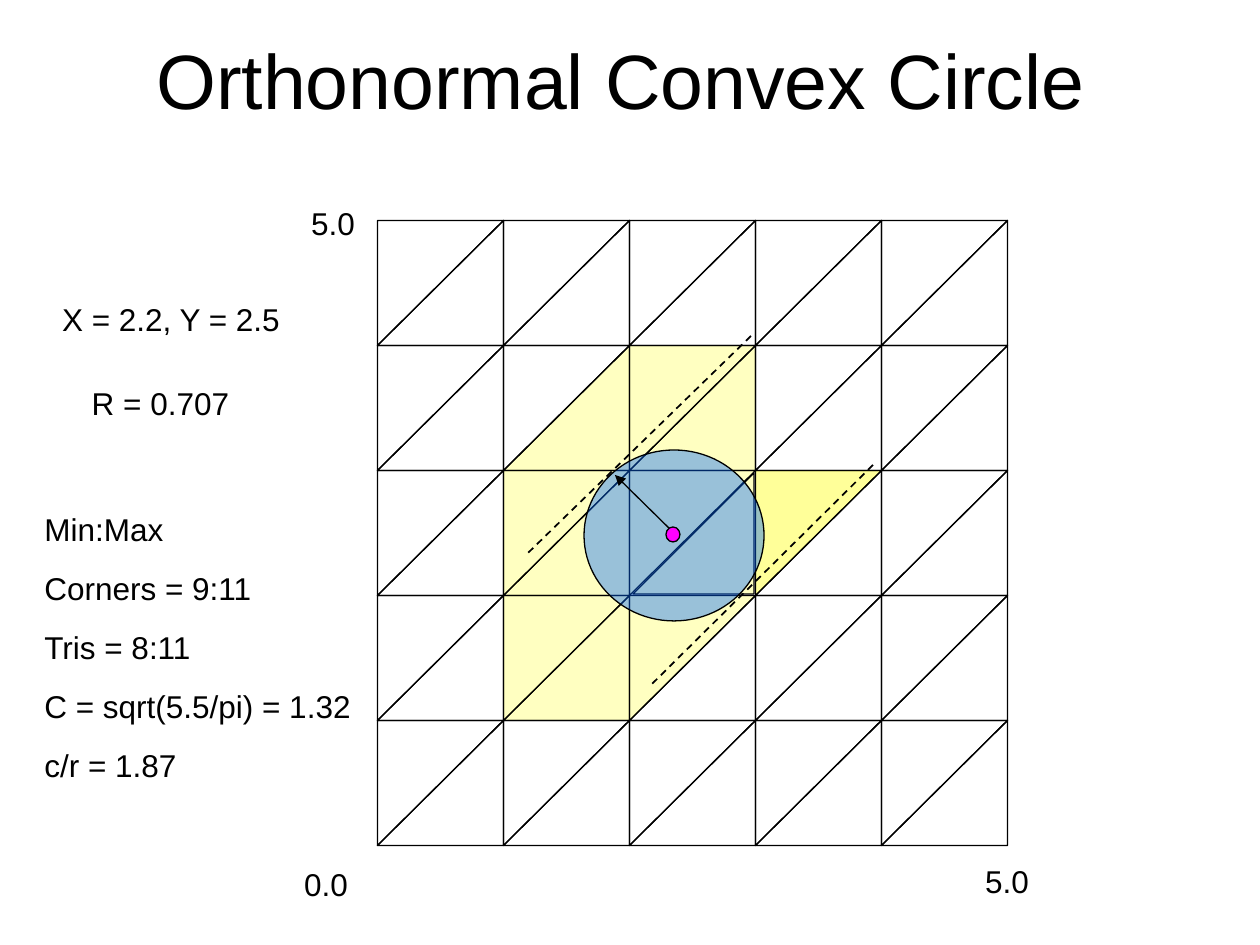
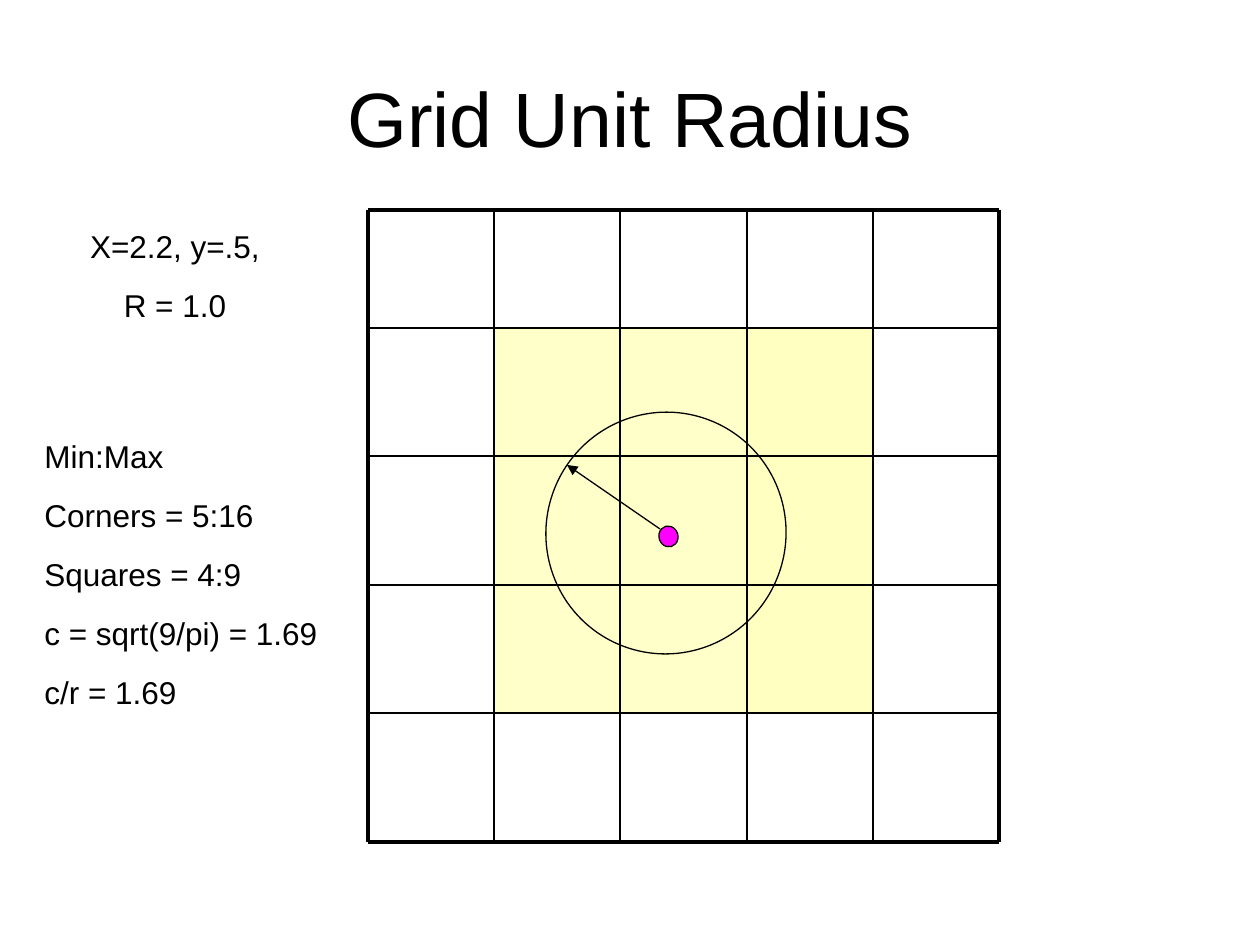
import itertools

import lxml.etree
import pptx
import pptx.dml.color
import pptx.enum.dml
import pptx.enum.shapes
import pptx.enum.text
import pptx.oxml.ns
import pptx.util

EMU_PER_PX = 914400 / 126
SLIDE_SIZE = (1260, 945)

BLACK = pptx.dml.color.RGBColor(0x00, 0x00, 0x00)
PALE_YELLOW = pptx.dml.color.RGBColor(0xFF, 0xFF, 0x66)
YELLOW = pptx.dml.color.RGBColor(0xFF, 0xFF, 0x00)
BLUE = pptx.dml.color.RGBColor(0x00, 0x66, 0xFF)
MAGENTA = pptx.dml.color.RGBColor(0xFF, 0x00, 0xFF)

FONT = "Arial"
TITLE_SIZE = 44
BODY_SIZE = 18
PARAGRAPH_GAP = 12.1
THIN, MEDIUM, THICK = 0.75, 1, 2.25

MSO_SHAPE = pptx.enum.shapes.MSO_SHAPE
CENTER = pptx.enum.text.PP_ALIGN.CENTER
LEFT = pptx.enum.text.PP_ALIGN.LEFT

# Triangle mesh: each cell holds an upper-left and a lower-right triangle.
MESH_LEFT, MESH_TOP = 378, 220
CELL_WIDTH, CELL_HEIGHT = 126, 125
CELLS = 5
UPPER, LOWER = 90, 270
CENTER_TRIANGLE = (2, 2, LOWER)
TOUCHED_TRIANGLES = {
    (1, 1, LOWER), (1, 2, UPPER), (1, 2, LOWER),
    (2, 1, UPPER), (2, 1, LOWER), (2, 2, UPPER),
    (3, 1, UPPER), (3, 1, LOWER), (3, 2, UPPER),
}
CORNER_TRIANGLE = (2, 3, UPPER)

# Square grid: the top row is a little lower than the others.
COLUMN_LINES = [368, 494, 620, 747, 873, 999]
ROW_LINES = [210, 328, 456, 585, 713, 842]


def px(length):
    return pptx.util.Emu(round(length * EMU_PER_PX))


def add_text(slide, box, lines, size=BODY_SIZE, align=CENTER, middle=False):
    shape = slide.shapes.add_textbox(*map(px, box))
    frame = shape.text_frame
    frame.word_wrap = True
    if middle:
        frame.vertical_anchor = pptx.enum.text.MSO_ANCHOR.MIDDLE
    for index, line in enumerate(lines):
        paragraph = frame.add_paragraph() if index else frame.paragraphs[0]
        paragraph.alignment = align
        if index:
            paragraph.space_before = pptx.util.Pt(PARAGRAPH_GAP)
        run = paragraph.add_run()
        run.text = line
        run.font.name = FONT
        run.font.size = pptx.util.Pt(size)
        run.font.color.rgb = BLACK


def add_title(slide, left, top, text):
    add_text(slide, (left, top, 1134, 158), [text], TITLE_SIZE, middle=True)


def add_shape(slide, kind, box, fill=None, opacity=100, outline=THIN, rotation=0):
    shape = slide.shapes.add_shape(kind, *map(px, box))
    shape.shadow.inherit = False
    shape.rotation = rotation
    if fill is None:
        shape.fill.background()
    else:
        shape.fill.solid()
        shape.fill.fore_color.rgb = fill
        if opacity < 100:
            color = shape.fill._xPr.find(".//" + pptx.oxml.ns.qn("a:srgbClr"))
            alpha = lxml.etree.SubElement(color, pptx.oxml.ns.qn("a:alpha"))
            alpha.set("val", str(opacity * 1000))
    if outline:
        shape.line.color.rgb = BLACK
        shape.line.width = pptx.util.Pt(outline)
    else:
        shape.line.fill.background()


def add_line(slide, start, end, width, dashed=False, arrow=False):
    connector = slide.shapes.add_connector(
        pptx.enum.shapes.MSO_CONNECTOR.STRAIGHT, *map(px, start + end))
    connector.line.color.rgb = BLACK
    connector.line.width = pptx.util.Pt(width)
    if dashed:
        connector.line.dash_style = pptx.enum.dml.MSO_LINE.DASH
    if arrow:
        line = connector.line._get_or_add_ln()
        tail = lxml.etree.SubElement(line, pptx.oxml.ns.qn("a:tailEnd"))
        tail.set("type", "triangle")
    lxml.etree.SubElement(
        connector._element.spPr, pptx.oxml.ns.qn("a:effectLst"))


def add_triangle_mesh(slide):
    # The triangle under the center is slightly smaller than its cell.
    add_shape(slide, MSO_SHAPE.RIGHT_TRIANGLE, (633, 473, 121, 121),
              PALE_YELLOW, 40, rotation=LOWER)
    for triangle in itertools.product(range(CELLS), range(CELLS), (LOWER, UPPER)):
        if triangle == CENTER_TRIANGLE:
            continue
        row, column, rotation = triangle
        fill = None
        if triangle in TOUCHED_TRIANGLES:
            fill = PALE_YELLOW
        elif triangle == CORNER_TRIANGLE:
            fill = YELLOW
        # A quarter turn swaps the sides, so the frame is as wide as a cell is high.
        box = (MESH_LEFT + column * CELL_WIDTH, MESH_TOP + row * CELL_HEIGHT,
               CELL_HEIGHT, CELL_WIDTH)
        add_shape(slide, MSO_SHAPE.RIGHT_TRIANGLE, box, fill, 40,
                  rotation=rotation)


def add_square_grid(slide):
    for row, column in itertools.product(range(1, 4), range(1, 4)):
        left, right = COLUMN_LINES[column:column + 2]
        top, bottom = ROW_LINES[row:row + 2]
        add_shape(slide, MSO_SHAPE.RECTANGLE,
                  (left, top, right - left, bottom - top),
                  PALE_YELLOW, 40 if column == 3 else 35, outline=None)
    left, right = COLUMN_LINES[0], COLUMN_LINES[-1]
    top, bottom = ROW_LINES[0], ROW_LINES[-1]
    for y in ROW_LINES:
        add_line(slide, (left, y), (right, y),
                 THICK if y in (top, bottom) else MEDIUM)
    for x in COLUMN_LINES:
        add_line(slide, (x, top), (x, bottom),
                 THICK if x in (left, right) else MEDIUM)


def add_radius_circle(slide, circle, radius, center, fill=None,
                      circle_turn=0, center_turn=0):
    """Draw a circle, its radius arrow and its center dot."""
    add_shape(slide, MSO_SHAPE.OVAL, circle, fill, 40, rotation=circle_turn)
    add_line(slide, *radius, THIN, arrow=True)
    add_shape(slide, MSO_SHAPE.OVAL, center, MAGENTA, rotation=center_turn)


def add_statistics(slide, top, lines):
    add_text(slide, (32, top, 335, 281), ["Min:Max"] + lines, align=LEFT)


def build_convex_circle(slide):
    add_title(slide, 54, 0, "Orthonormal Convex Circle")
    add_triangle_mesh(slide)
    for left, top, width, label in (
            (256, 859, 140, "0.0"),
            (263, 198, 140, "5.0"),
            (937, 856, 140, "5.0"),
            (42, 294, 258, "X = 2.2, Y = 2.5"),
            (53, 378, 215, "R = 0.707")):
        add_text(slide, (left, top, width, 50), [label])
    add_line(slide, (751, 336), (528, 553), MEDIUM, dashed=True)
    add_radius_circle(slide, (584, 450, 180, 171), ((674, 533), (615, 475)),
                      (666, 527, 14, 15), BLUE)
    add_line(slide, (873, 465), (652, 684), MEDIUM, dashed=True)
    add_statistics(slide, 504, ["Corners = 9:11", "Tris = 8:11",
                                "C = sqrt(5.5/pi) = 1.32", "c/r = 1.87"])


def build_unit_radius(slide):
    add_title(slide, 63, 38, "Grid Unit Radius")
    add_square_grid(slide)
    add_radius_circle(slide, (545, 413, 242, 240), ((660, 529), (567, 465)),
                      (659, 526, 19, 21), circle_turn=288.9, center_turn=344.3)
    add_text(slide, (73, 221, 204, 108), ["X=2.2, y=.5,", "R = 1.0"])
    add_statistics(slide, 431, ["Corners = 5:16", "Squares = 4:9",
                                "c = sqrt(9/pi) = 1.69", "c/r = 1.69"])


def main():
    presentation = pptx.Presentation()
    presentation.slide_width, presentation.slide_height = map(px, SLIDE_SIZE)
    blank = presentation.slide_layouts[6]
    for build in (build_convex_circle, build_unit_radius):
        build(presentation.slides.add_slide(blank))
    presentation.save("out.pptx")


if __name__ == "__main__":
    main()
